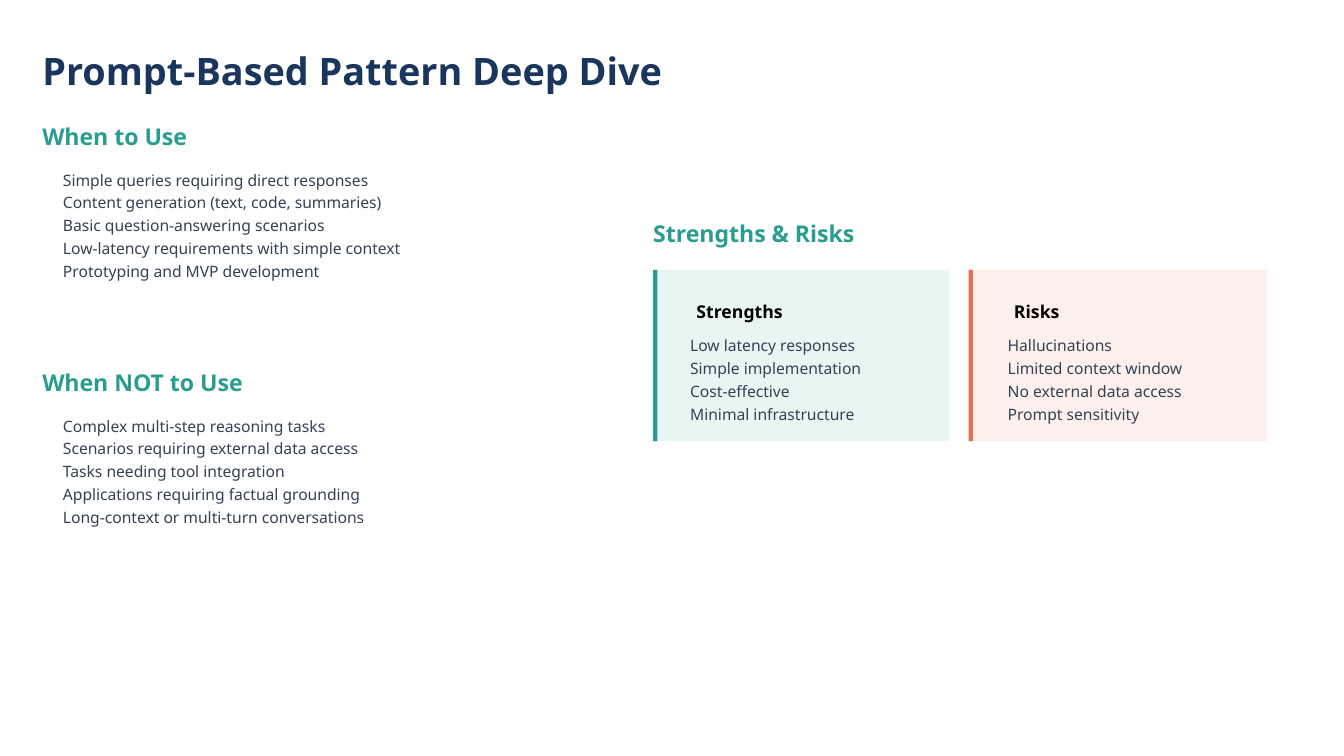
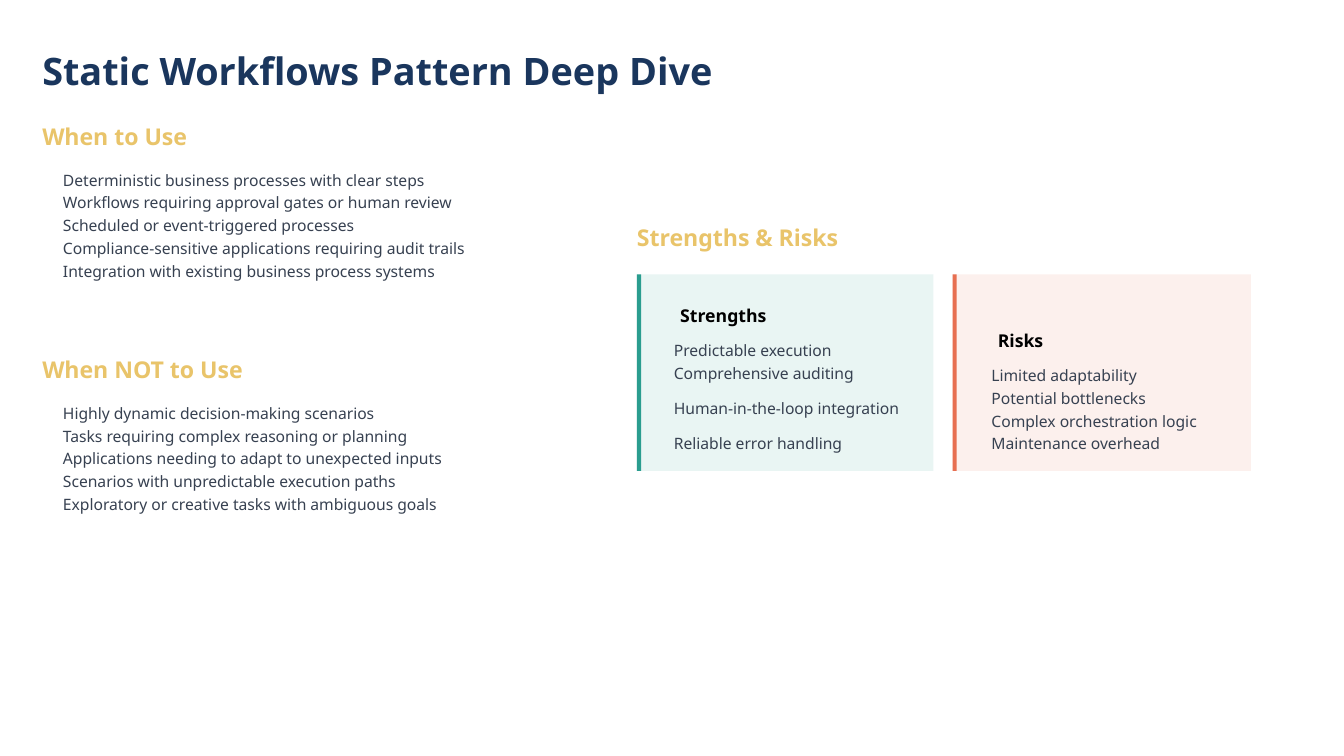
from pptx import Presentation
from pptx.dml.color import RGBColor
from pptx.enum.shapes import MSO_SHAPE
from pptx.enum.text import MSO_ANCHOR, MSO_AUTO_SIZE, PP_ALIGN
from pptx.oxml.ns import qn
from pptx.util import Pt
from lxml import etree

RECTANGLE = MSO_SHAPE.RECTANGLE
TOP, MIDDLE, BOTTOM = MSO_ANCHOR.TOP, MSO_ANCHOR.MIDDLE, MSO_ANCHOR.BOTTOM
NO_AUTOFIT = MSO_AUTO_SIZE.NONE
LEFT = PP_ALIGN.LEFT

FONT = "Noto Sans"
COLORS = {
    "navy": "1A365D",
    "teal": "2A9D8F",
    "gold": "E9C46A",
    "coral": "E76F51",
    "body": "374151",
    "black": "000000",
}
MARGIN = 30.2
ITEM_GAP = 2.8
WIDE_GAP = 11.75
CARD_STEP = 225.4
CARD_OFFSET = 36.2

SLIDES = [
    {
        "title": "Prompt-Based Pattern Deep Dive",
        "accent": "teal",
        "usage": [
            (87.4, "When to Use", [
                "Simple queries requiring direct responses",
                "Content generation (text, code, summaries)",
                "Basic question-answering scenarios",
                "Low-latency requirements with simple context",
                "Prototyping and MVP development",
            ]),
            (263.1, "When NOT to Use", [
                "Complex multi-step reasoning tasks",
                "Scenarios requiring external data access",
                "Tasks needing tool integration",
                "Applications requiring factual grounding",
                "Long-context or multi-turn conversations",
            ]),
        ],
        "balance_box": (466.6, 156.6, 122.4),
        "strengths": ["Low latency responses", "Simple implementation",
                      "Cost-effective", "Minimal infrastructure"],
        "risks": ["Hallucinations", "Limited context window",
                  "No external data access", "Prompt sensitivity"],
        "wide_items": (),
    },
    {
        "title": "Static Workflows Pattern Deep Dive",
        "accent": "gold",
        "usage": [
            (87.4, "When to Use", [
                "Deterministic business processes with clear steps",
                "Workflows requiring approval gates or human review",
                "Scheduled or event-triggered processes",
                "Compliance-sensitive applications requiring audit trails",
                "Integration with existing business process systems",
            ]),
            (254, "When NOT to Use", [
                "Highly dynamic decision-making scenarios",
                "Tasks requiring complex reasoning or planning",
                "Applications needing to adapt to unexpected inputs",
                "Scenarios with unpredictable execution paths",
                "Exploratory or creative tasks with ambiguous goals",
            ]),
        ],
        "balance_box": (455, 159.8, 140.4),
        "strengths": ["Predictable execution", "Comprehensive auditing",
                      "Human-in-the-loop integration", "Reliable error handling"],
        "risks": ["Limited adaptability", "Potential bottlenecks",
                  "Complex orchestration logic", "Maintenance overhead"],
        "wide_items": ("Human-in-the-loop integration", "Reliable error handling"),
    },
]


def add_para(frame, text, *, size=11.2, color="body", bold=False, indent=0, before=0):
    para = frame.paragraphs[0]
    if para.runs:
        para = frame.add_paragraph()
    para.alignment = LEFT
    para.space_before = Pt(before)
    if indent:
        para._p.get_or_add_pPr().set("marL", str(Pt(indent)))
    span = para.add_run()
    span.text = text
    span.font.name = FONT
    span.font.size = Pt(size)
    span.font.bold = bold
    span.font.color.rgb = RGBColor.from_string(COLORS[color])


def add_items(frame, items, first_gap, indent=0, wide_items=()):
    for index, item in enumerate(items):
        gap = WIDE_GAP if item in wide_items else ITEM_GAP
        add_para(frame, item, indent=indent, before=gap if index else first_gap)


def prepare_frame(frame, anchor, left=0, bottom=0):
    frame.auto_size = NO_AUTOFIT
    frame.word_wrap = True
    frame.vertical_anchor = anchor
    frame.margin_left, frame.margin_bottom = Pt(left), Pt(bottom)
    frame.margin_top = frame.margin_right = 0


def add_text_box(page, left, top, width, height):
    box = page.shapes.add_textbox(Pt(left), Pt(top), Pt(width), Pt(height))
    prepare_frame(box.text_frame, TOP)
    return box.text_frame


def add_panel(page, left, top, width, height, color, opacity=100):
    panel = page.shapes.add_shape(RECTANGLE, Pt(left), Pt(top), Pt(width), Pt(height))
    panel.shadow.inherit = False
    panel.line.fill.background()
    panel.fill.solid()
    panel.fill.fore_color.rgb = RGBColor.from_string(COLORS[color])
    if opacity < 100:
        fill_color = panel.element.spPr.find(".//" + qn("a:srgbClr"))
        etree.SubElement(fill_color, qn("a:alpha"), val=str(opacity * 1000))
    return panel


def place_title(page, text):
    title = page.shapes.title
    title.left, title.top, title.width, title.height = Pt(MARGIN), Pt(31), Pt(900), Pt(38)
    prepare_frame(title.text_frame, MIDDLE)
    add_para(title.text_frame, text, size=27, color="navy", bold=True)


def draw_usage(page, left, top, heading, items, accent):
    frame = add_text_box(page, left, top, 400, 126)
    add_para(frame, heading, size=16.5, color=accent, bold=True)
    add_items(frame, items, first_gap=14.6, indent=14.8)


def draw_card(page, left, top, width, height, heading, items, color, inset, wide_items):
    card = add_panel(page, left, top, width, height, color, opacity=10)
    add_panel(page, left, top, 3, height, color)
    frame = card.text_frame
    prepare_frame(frame, BOTTOM, left=inset, bottom=12.9)
    add_para(frame, heading, size=12.6, color="black", bold=True, indent=4.5)
    add_items(frame, items, first_gap=10.4, wide_items=wide_items)


def draw_balance(page, left, top, card_height, content):
    frame = add_text_box(page, left, top, 300, 23)
    add_para(frame, "Strengths & Risks", size=16.5, color=content["accent"], bold=True)
    cards = [
        ("Strengths", content["strengths"], "teal", 211.7, 26.4),
        ("Risks", content["risks"], "coral", 213.1, 27.8),
    ]
    for index, (heading, items, color, width, inset) in enumerate(cards):
        draw_card(page, left + index * CARD_STEP, top + CARD_OFFSET, width, card_height,
                  heading, items, color, inset, content["wide_items"])


def draw_pattern(deck, content):
    page = deck.slides.add_slide(deck.slide_layouts[5])
    place_title(page, content["title"])
    for top, heading, items in content["usage"]:
        draw_usage(page, MARGIN, top, heading, items, content["accent"])
    draw_balance(page, *content["balance_box"], content)


def main():
    deck = Presentation()
    deck.slide_width, deck.slide_height = Pt(960), Pt(540)
    for content in SLIDES:
        draw_pattern(deck, content)
    deck.save("out.pptx")


if __name__ == "__main__":
    main()
